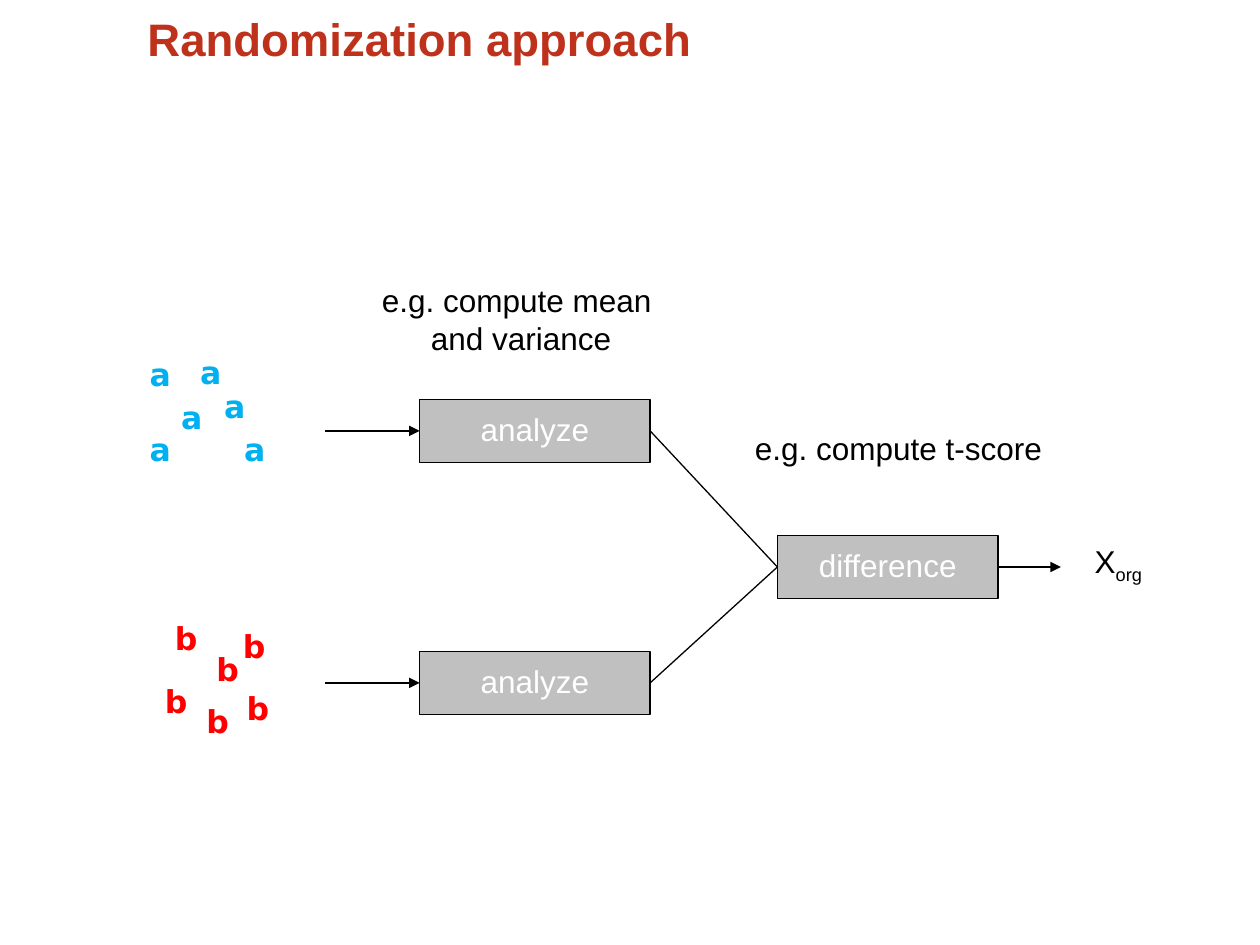
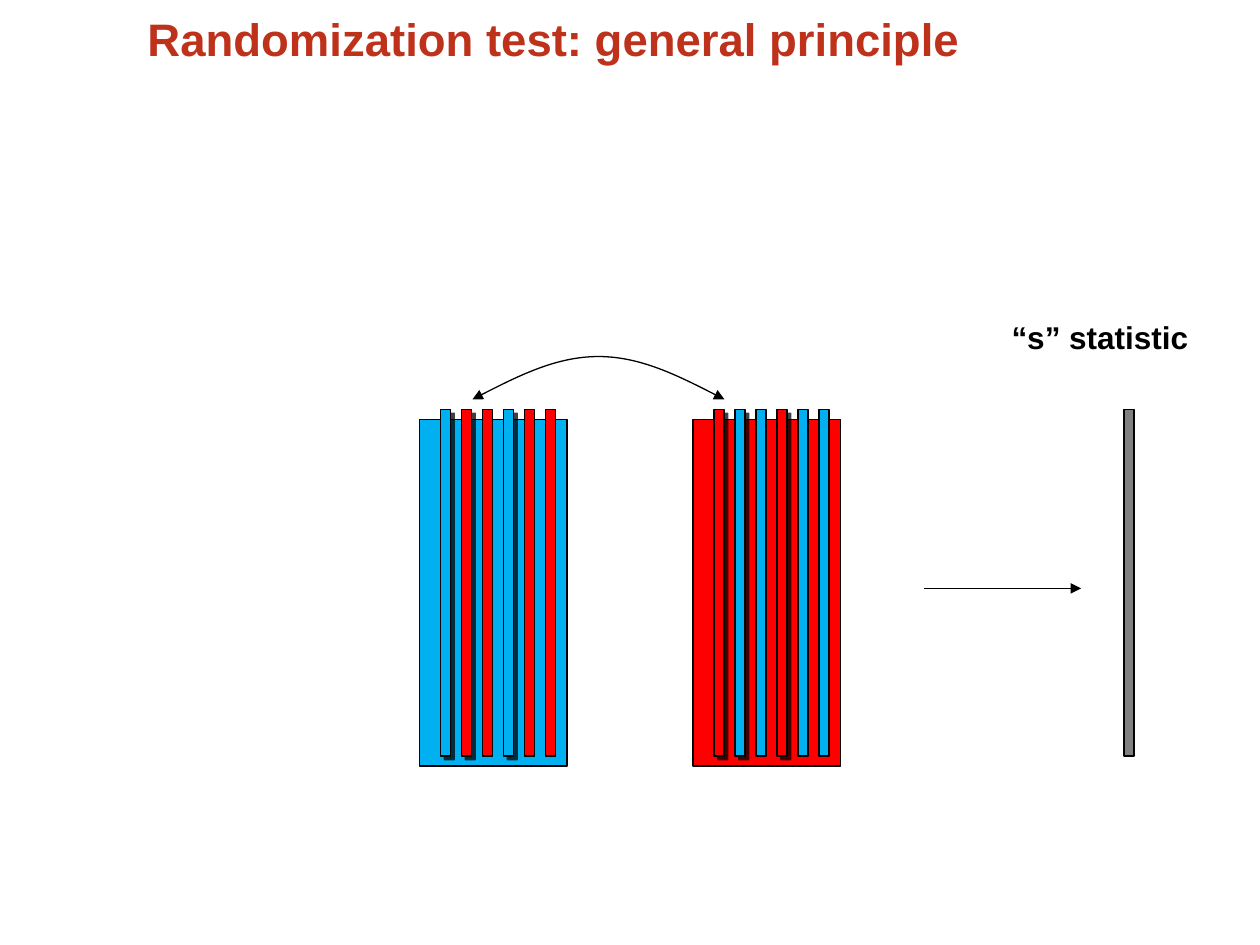
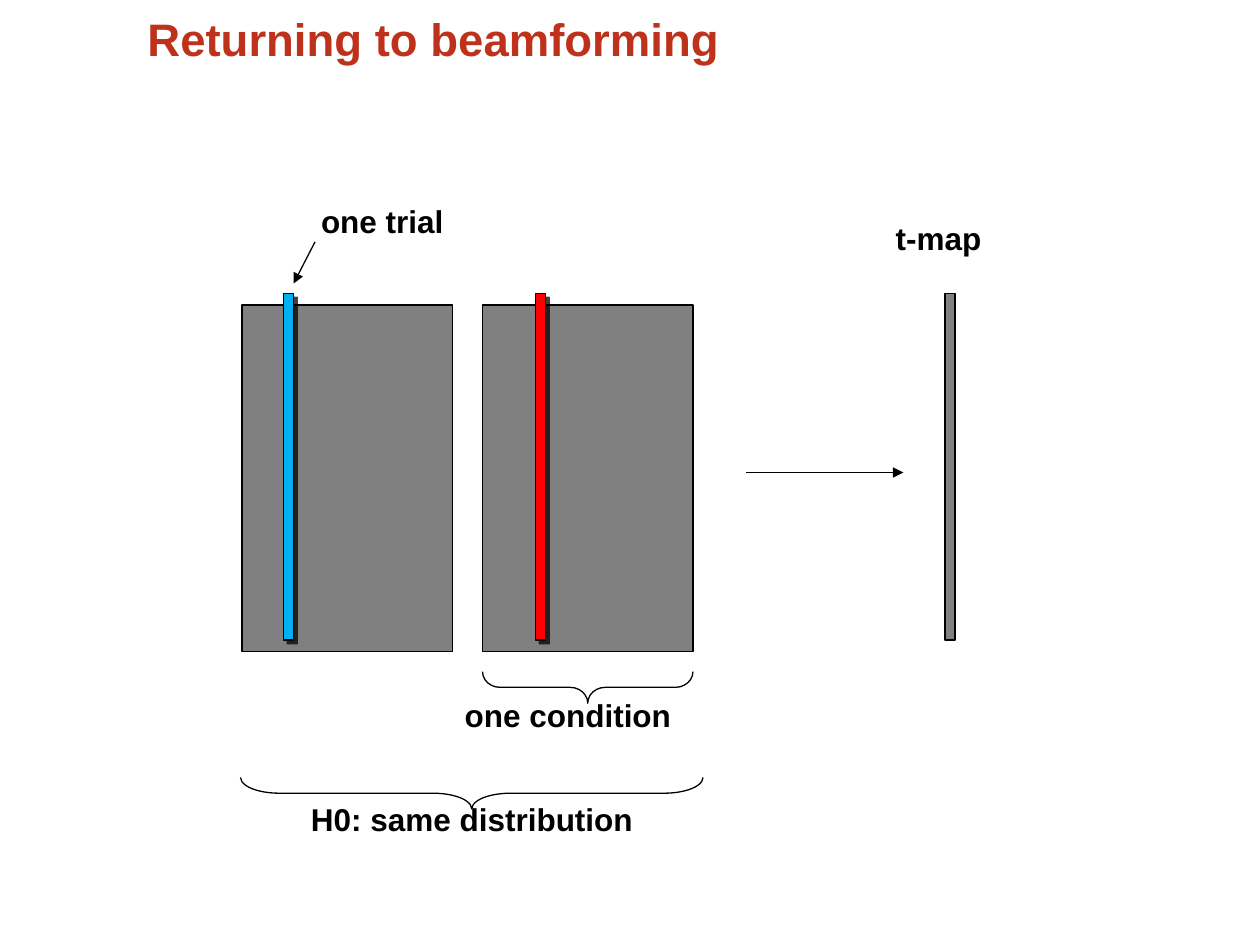
from dataclasses import dataclass

from lxml.etree import SubElement
from pptx import Presentation
from pptx.dml.color import RGBColor as RGB
from pptx.enum.shapes import MSO_CONNECTOR as CONNECTOR, MSO_SHAPE as SHAPE
from pptx.enum.text import MSO_ANCHOR as ANCHOR, MSO_AUTO_SIZE as AUTO_SIZE, PP_ALIGN as ALIGN
from pptx.oxml.ns import qn
from pptx.util import Inches, Pt


@dataclass(frozen=True)
class Theme:
    title: RGB = RGB(0xBE, 0x31, 0x1A)
    black: RGB = RGB(0, 0, 0)
    white: RGB = RGB(255, 255, 255)
    blue: RGB = RGB(0, 0xB0, 0xF0)
    red: RGB = RGB(255, 0, 0)
    silver: RGB = RGB(0xC0, 0xC0, 0xC0)
    gray: RGB = RGB(0x80, 0x80, 0x80)
    font: str = "Arial"
    letter_font: str = "DejaVu Sans"
    title_size: Pt = Pt(26)
    text_size: Pt = Pt(18)
    line_width: Pt = Pt(0.75)
    spacing: float = 0.92


theme = Theme()


def write(shape, text, color=theme.black, bold=False, size=theme.text_size,
          font=theme.font, align=ALIGN.LEFT, spacing=theme.spacing,
          fit=AUTO_SIZE.SHAPE_TO_FIT_TEXT):
    frame = shape.text_frame
    frame.text = text
    frame.word_wrap = False
    frame.auto_size = fit
    para = frame.paragraphs[0]
    para.alignment = align
    para.line_spacing = spacing
    for span in para.runs:
        span.font.name = font
        span.font.size = size
        span.font.bold = bold
        span.font.color.rgb = color
    return frame


def add_rect(page, left, top, width, height, fill, shadow=False):
    rect = page.shapes.add_shape(SHAPE.RECTANGLE, *map(Inches, (left, top, width, height)))
    rect.fill.solid()
    rect.fill.fore_color.rgb = fill
    rect.line.color.rgb = theme.black
    rect.line.width = theme.line_width
    rect.shadow.inherit = False
    if shadow:
        effects = rect._element.spPr.find(qn("a:effectLst"))
        outer = SubElement(effects, qn("a:outerShdw"), dist=str(Pt(3)), dir="2700000",
                           algn="ctr", rotWithShape="0")
        color = SubElement(outer, qn("a:srgbClr"), val=str(theme.black))
        SubElement(color, qn("a:alpha"), val="75000")
    return rect


deck = Presentation()
deck.slide_width, deck.slide_height = Inches(10), Inches(7.5)

# Pages and titles
pages = []
for heading in ("Randomization approach", "Randomization test: general principle",
                "Returning to beamforming"):
    page = deck.slides.add_slide(deck.slide_layouts[5])
    title = page.shapes.title
    title.left, title.top, title.width, title.height = map(Inches, (1.17, 0.13, 7.83, 0.8))
    frame = write(title, heading, theme.title, True, theme.title_size, fit=AUTO_SIZE.NONE)
    frame.word_wrap = True
    frame.vertical_anchor = ANCHOR.TOP
    frame.margin_left = frame.margin_top = frame.margin_right = frame.margin_bottom = 0
    pages.append(page)
approach, principle, beamforming = pages

# Approach: scattered observations of both conditions
observations = {
    "a": (theme.blue, [(1.49, 2.78), (1.68, 3.05), (1.09, 3.39),
                       (1.84, 3.39), (1.09, 2.8), (1.34, 3.14)]),
    "b": (theme.red, [(1.62, 5.14), (1.83, 4.96), (1.86, 5.45),
                      (1.54, 5.55), (1.29, 4.89), (1.21, 5.39)]),
}
for letter, (color, spots) in observations.items():
    for left, top in spots:
        box = approach.shapes.add_textbox(*map(Inches, (left, top, 0.36, 0.38)))
        write(box, letter, color, True, font=theme.letter_font)

# Approach: processing steps
steps = []
for text, left, top, width in (("analyze", 3.33, 3.17, 1.83), ("analyze", 3.33, 5.17, 1.83),
                               ("difference", 6.17, 4.25, 1.75)):
    step = add_rect(approach, left, top, width, 0.5, theme.silver)
    frame = write(step, text, theme.white, align=ALIGN.CENTER, fit=AUTO_SIZE.NONE)
    frame.vertical_anchor = ANCHOR.MIDDLE
    steps.append(step)
analyze_a, analyze_b, difference = steps

# Principle: two conditions with complementary shuffled trials
bar_width, bar_height, bar_top = 0.08, 2.75, 3.25
trial_swapped = (False, True, True, False, True, True)
trial_shadowed = (True, True, False, True, False, False)
for left, own, other in ((3.33, theme.blue, theme.red), (5.5, theme.red, theme.blue)):
    add_rect(principle, left, 3.33, 1.17, bar_height, own)
    for index, (swapped, shadowed) in enumerate(zip(trial_swapped, trial_shadowed)):
        add_rect(principle, left + (index + 1) / 6, bar_top, bar_width, bar_height,
                 other if swapped else own, shadowed)
add_rect(principle, 8.92, bar_top, bar_width, bar_height, theme.gray)

# Principle: curved exchange arrow, in hundredths of an inch
builder = principle.shapes.build_freeform(375, 317, scale=Inches(0.01))
builder.add_line_segments([(475, 283), (575, 317)], close=False)
exchange = builder.convert_to_shape()
exchange.fill.background()
exchange.line.color.rgb = theme.black
exchange.line.width = theme.line_width
exchange.shadow.inherit = False
curves = (((33, 17), (67, 0), (100, 0)), ((133, 0), (167, 17), (200, 34)))
for segment, points in zip(list(exchange._element.iter(qn("a:lnTo"))), curves):
    curve = segment.makeelement(qn("a:cubicBezTo"))
    segment.getparent().replace(segment, curve)
    for x, y in points:
        SubElement(curve, qn("a:pt"), x=str(x), y=str(y))
for end in ("a:headEnd", "a:tailEnd"):
    SubElement(exchange.line._get_or_add_ln(), qn(end), type="triangle")

# Beamforming: conditions, single trials and result
for left, trial_left, color in ((1.92, 2.25, theme.blue), (3.83, 4.25, theme.red)):
    add_rect(beamforming, left, 2.42, 1.67, bar_height, theme.gray)
    add_rect(beamforming, trial_left, 2.33, bar_width, bar_height, color, True)
add_rect(beamforming, 7.5, 2.33, bar_width, bar_height, theme.gray)

# Beamforming: braces pointing down
for left, top, length in ((4.54, 4.62, 1.67), (3.62, 4.46, 3.67)):
    brace = beamforming.shapes.add_shape(SHAPE.LEFT_BRACE,
                                         *map(Inches, (left, top, 0.25, length)))
    brace.rotation = 270
    brace.adjustments[0] = length / 12 / 0.25
    brace.fill.background()
    brace.line.color.rgb = theme.black
    brace.line.width = theme.line_width
    brace.shadow.inherit = False

# Lines and arrows: page, start, end, joined start, joined end, arrowhead
for page, start, end, source, target, arrow in (
    (approach, (2.58, 3.42), (3.33, 3.42), None, analyze_a, True),
    (approach, (2.58, 5.42), (3.33, 5.42), None, analyze_b, True),
    (approach, (5.17, 3.42), (6.17, 4.5), analyze_a, difference, False),
    (approach, (5.17, 5.42), (6.17, 4.5), analyze_b, difference, False),
    (approach, (7.92, 4.5), (8.42, 4.5), difference, None, True),
    (principle, (7.33, 4.67), (8.58, 4.67), None, None, True),
    (beamforming, (5.92, 3.75), (7.17, 3.75), None, None, True),
    (beamforming, (2.5, 1.92), (2.33, 2.25), None, None, True),
):
    line = page.shapes.add_connector(CONNECTOR.STRAIGHT, *map(Inches, start + end))
    if source:
        line.begin_connect(source, 3)
    if target:
        line.end_connect(target, 1)
    line.line.color.rgb = theme.black
    line.line.width = theme.line_width
    if arrow:
        SubElement(line.line._get_or_add_ln(), qn("a:tailEnd"), type="triangle")
    SubElement(line._element.spPr, qn("a:effectLst"))

# Labels
for page, text, at, bold, align, spacing in (
    (approach, "e.g. compute mean \vand variance", (2.93, 2.18, 2.41, 0.7),
     False, ALIGN.CENTER, 1.0),
    (approach, "e.g. compute t-score", (5.89, 3.36, 2.48, 0.4), False, ALIGN.CENTER, 1.0),
    (principle, "“s” statistic", (7.93, 2.5, 1.6, 0.38), True, ALIGN.LEFT, theme.spacing),
    (beamforming, "one trial", (2.45, 1.58, 1.17, 0.38), True, ALIGN.LEFT, theme.spacing),
    (beamforming, "one condition", (3.59, 5.5, 1.84, 0.38), True, ALIGN.LEFT, theme.spacing),
    (beamforming, "t-map", (7.01, 1.72, 0.88, 0.38), True, ALIGN.LEFT, theme.spacing),
    (beamforming, "H0: same distribution", (2.35, 6.33, 2.79, 0.38),
     True, ALIGN.CENTER, theme.spacing),
):
    box = page.shapes.add_textbox(*map(Inches, at))
    write(box, text, bold=bold, align=align, spacing=spacing)

# Approach: result with subscript
result = approach.shapes.add_textbox(*map(Inches, (8.59, 4.25, 0.6, 0.42)))
para = write(result, "X").paragraphs[0]
subscript = para.add_run()
subscript.text = "org"
subscript.font.name = theme.font
subscript.font.size = theme.text_size
subscript.font.color.rgb = theme.black
subscript._r.get_or_add_rPr().set("baseline", "-25000")

deck.save("out.pptx")
